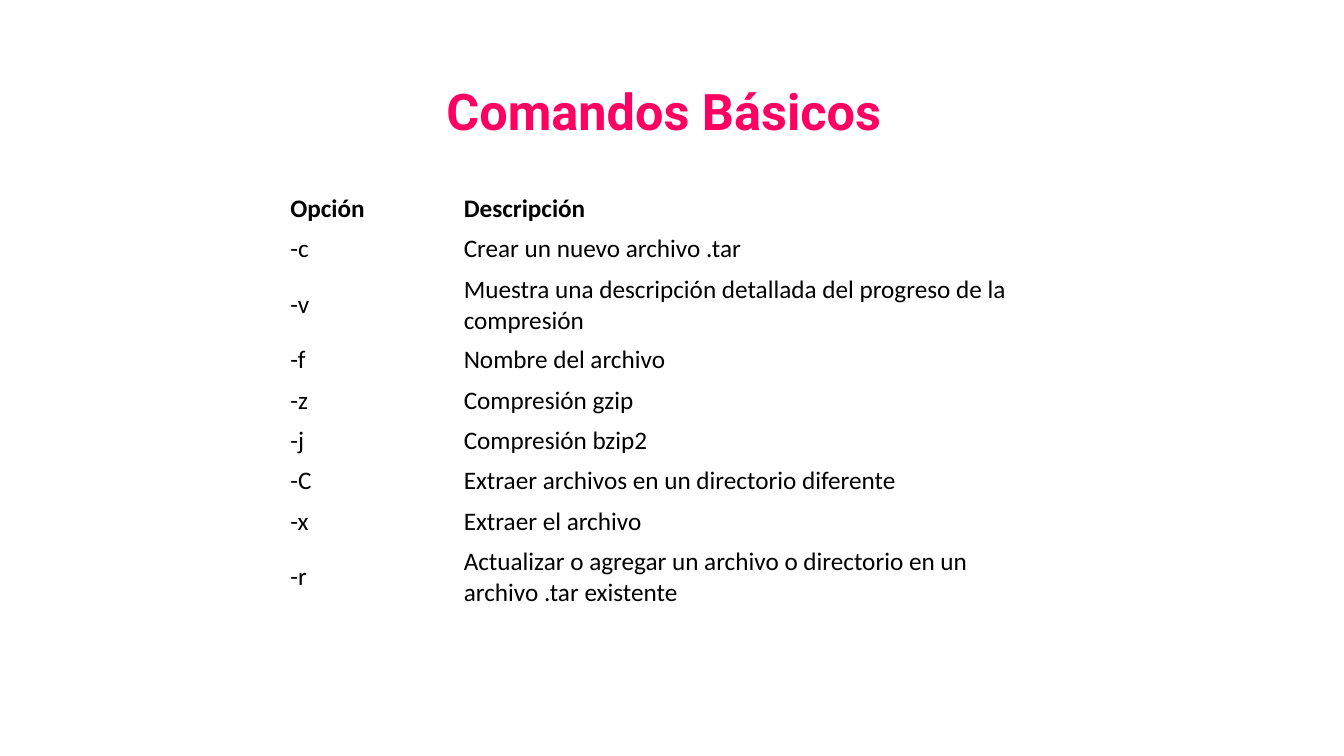
from dataclasses import dataclass

import pptx
import pptx.dml.color
import pptx.enum.text
import pptx.util

COLORS = {"title": "FF0062", "text": "000000"}
COLUMN_WIDTHS = (1.72, 5.88)
LINE_HEIGHT = 0.3
ROW_PADDING = 0.1


@dataclass
class Option:
    flag: str
    description: str
    lines: int = 1
    bold: bool = False


OPTIONS = [
    Option("Opción", "Descripción", bold=True),
    Option("-c", "Crear un nuevo archivo .tar"),
    Option("-v", "Muestra una descripción detallada del progreso de la compresión", lines=2),
    Option("-f", "Nombre del archivo"),
    Option("-z", "Compresión gzip"),
    Option("-j", "Compresión bzip2"),
    Option("-C", "Extraer archivos en un directorio diferente"),
    Option("-x", "Extraer el archivo"),
    Option("-r", "Actualizar o agregar un archivo o directorio en un archivo .tar existente", lines=2),
]


def write_text(
    text_frame: pptx.text.text.TextFrame,
    text: str,
    *,
    font: str = "Calibri",
    size: float = 18,
    color: str = COLORS["text"],
    bold: bool = False,
    align: pptx.enum.text.PP_ALIGN = pptx.enum.text.PP_ALIGN.LEFT,
) -> None:
    paragraph = text_frame.paragraphs[0]
    paragraph.alignment = align
    run = paragraph.add_run()
    run.text = text
    run.font.name = font
    run.font.size = pptx.util.Pt(size)
    run.font.bold = bold
    run.font.color.rgb = pptx.dml.color.RGBColor.from_string(color)


def add_title(slide: pptx.slide.Slide, text: str) -> None:
    title = slide.shapes.title
    title.left, title.top = pptx.util.Inches(1.86), pptx.util.Inches(0.74)
    title.width, title.height = pptx.util.Inches(9.45), pptx.util.Inches(0.71)
    title.text_frame.auto_size = pptx.enum.text.MSO_AUTO_SIZE.SHAPE_TO_FIT_TEXT
    title.text_frame.vertical_anchor = pptx.enum.text.MSO_ANCHOR.MIDDLE
    write_text(title.text_frame, text, font="Roboto", size=36, color=COLORS["title"],
               bold=True, align=pptx.enum.text.PP_ALIGN.CENTER)


def add_options_table(slide: pptx.slide.Slide, options: list[Option]) -> None:
    heights = [option.lines * LINE_HEIGHT + ROW_PADDING for option in options]
    table = slide.shapes.add_table(
        len(options), len(COLUMN_WIDTHS),
        pptx.util.Inches(2.78), pptx.util.Inches(1.87),
        pptx.util.Inches(sum(COLUMN_WIDTHS)), pptx.util.Inches(sum(heights)),
    ).table
    table.first_row = False
    table.horz_banding = False
    for column, width in zip(table.columns, COLUMN_WIDTHS):
        column.width = pptx.util.Inches(width)
    for row, height, option in zip(table.rows, heights, options):
        row.height = pptx.util.Inches(height)
        for cell, text in zip(row.cells, (option.flag, option.description)):
            cell.fill.background()
            cell.vertical_anchor = pptx.enum.text.MSO_ANCHOR.MIDDLE
            write_text(cell.text_frame, text, bold=option.bold)


def main() -> None:
    presentation = pptx.Presentation()
    presentation.slide_width = pptx.util.Inches(13.33)
    presentation.slide_height = pptx.util.Inches(7.5)
    slide = presentation.slides.add_slide(presentation.slide_layouts[5])
    add_title(slide, "Comandos Básicos")
    add_options_table(slide, OPTIONS)
    presentation.save("out.pptx")


if __name__ == "__main__":
    main()
